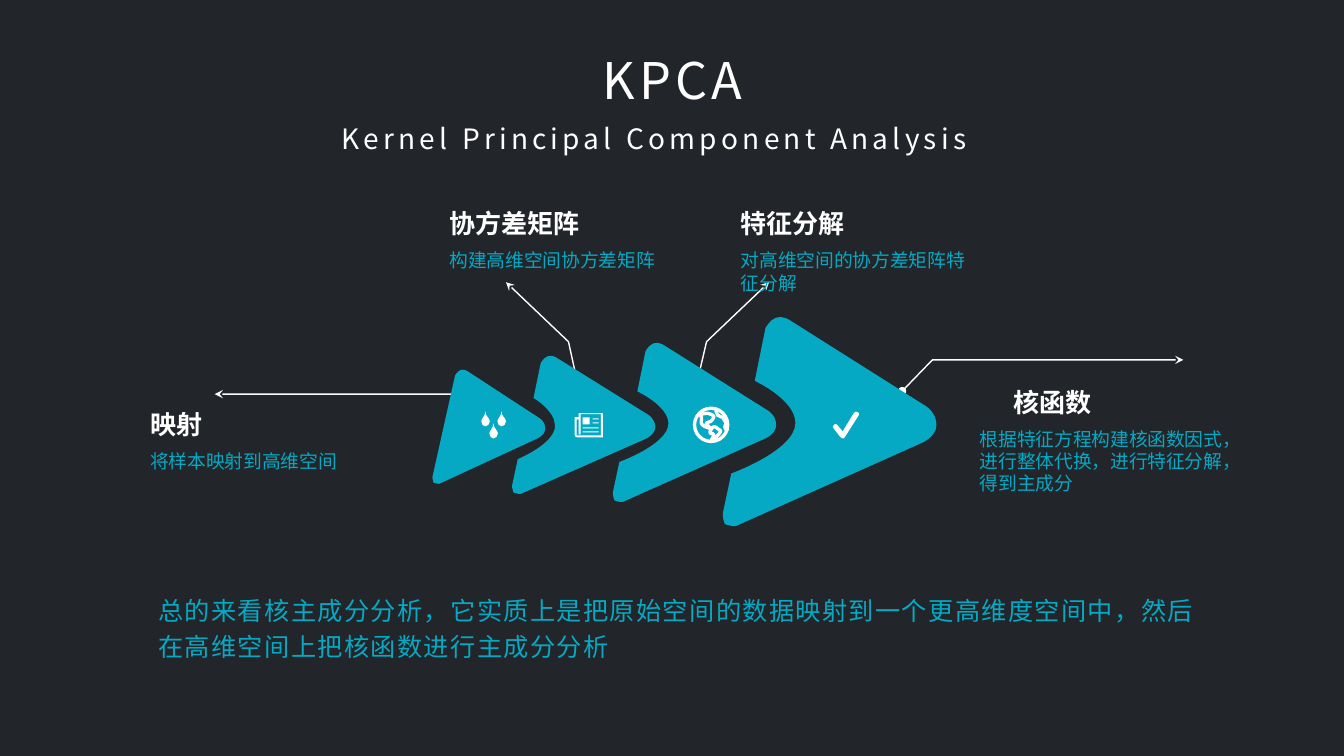
from lxml.etree import SubElement
from pptx import Presentation
from pptx.dml.color import RGBColor
from pptx.enum.shapes import MSO_SHAPE
from pptx.enum.text import MSO_ANCHOR, MSO_AUTO_SIZE, PP_ALIGN
from pptx.oxml.ns import qn
from pptx.util import Inches, Pt

COLUMNS, ROWS = 133.33, 75
CELL = Inches(0.1)
FONT = "Noto Sans CJK SC"
DARK, WHITE, TEAL = "22252A", "FFFFFF", "06A9C3"

# Outlines: a pair is a straight corner, six numbers are a cubic curve.
ARROW_TAIL = [(1, 0.52), (1, 0.58, 0.92, 0.61, 0.92, 0.61), (0.06, 1),
              (0.06, 1, 0.03, 1, 0.01, 0.99), (0, 0.97, 0, 0.94, 0, 0.94)]
ARROW_TIP = [(0.2, 0.06), (0.2, 0.06, 0.22, 0.02, 0.25, 0.01),
             (0.28, 0, 0.31, 0.02, 0.31, 0.02), (0.95, 0.43),
             (0.95, 0.43, 1, 0.46, 1, 0.52)]
ARROWS = [  # left, top, width, height, notch depth
    (42.9, 36.6, 11.2, 11.4, 0), (50.8, 35.2, 14.2, 13.8, 0.3),
    (60.8, 33.9, 16.2, 15.9, 0.34), (71.7, 31.3, 21.2, 20.9, 0.34)]

LEADERS = [
    [(89.5, 38.8), (92.5, 35.7), (117.4, 35.7)],
    [(49.1, 42.2), (46.2, 39.1), (21.3, 39.1)],
    [(68.9, 39), (70.1, 33.9), (76.3, 28)],
    [(57.5, 38.9), (56.4, 33.9), (50.2, 28)]]

CALLOUTS = [  # heading, heading left, top, body, body left, body width, body lines
    ("协方差矩阵", 44.6, 20.6, "构建高维空间协方差矩阵", 44.6, 22.6, 1),
    ("特征分解", 73.45, 20.6, "对高维空间的协方差矩阵特征分解", 73.5, 22.6, 2),
    ("核函数", 100.55, 38.3,
     "根据特征方程构建核函数因式，进行整体代换，进行特征分解，得到主成分", 97.2, 26.1, 3),
    ("映射", 14.9, 40.5, "将样本映射到高维空间", 14.9, 22.6, 1)]

DROP = [(0, 0), (0, 0.5, -0.4, 0.7, -0.4, 1), (-0.4, 1.3, -0.2, 1.5, 0, 1.5),
        (0.2, 1.5, 0.45, 1.3, 0.45, 1), (0.45, 0.7, 0, 0.5, 0, 0)]
DROP_TOPS = [(48.15, 40.8), (49.75, 40.8), (48.95, 42)]
NEWSPAPER = [
    [(57.4, 41), (59.8, 41), (59.8, 43.4), (57.3, 43.4),
     (57.1, 43.4, 57, 43.3, 57, 43.1), (57, 41.4), (57.4, 41.4)],
    [(59.6, 43.2), (57.2, 43.2), (57.2, 41.6), (57.4, 41.6), (57.4, 43.1),
     (57.6, 43.1), (57.6, 41.1), (59.6, 41.1)]]
NEWSPAPER_BARS = [(57.8, 41.4, 0.7, 0.7), (58.8, 41.5, 0.6, 0.1), (58.8, 41.9, 0.6, 0.1),
                  (57.8, 42.4, 1.6, 0.1), (57.8, 42.8, 1.6, 0.1)]
GLOBE_LANDS = [
    [(69.6, 41.6), (69.5, 41.8, 69.5, 42.1, 69.9, 42.3), (70.3, 42.5, 70.4, 42.4, 70.4, 42.5),
     (70.5, 42.5, 70.4, 42.5, 70.4, 42.4), (70.4, 42.3, 70.3, 42.3, 70.3, 42.3),
     (70.2, 42.3, 70.2, 42.2, 70.2, 42.2), (70.2, 42.1, 70.1, 42.2, 70.1, 42.1),
     (70, 42, 70.1, 41.9, 70.2, 41.9), (70.5, 42, 70.5, 41.7, 70.7, 41.6),
     (71.1, 41.2, 70.5, 41.1, 70.2, 41), (69.9, 41, 69.4, 41.1, 69.5, 41.2),
     (69.6, 41.3, 69.6, 41.5, 69.6, 41.6)],
    [(70.5, 42.7), (70.5, 42.9, 70.3, 42.8, 70.5, 43), (70.7, 43.2, 70.8, 42.8, 70.8, 43.2),
     (70.7, 43.6, 70.4, 43.7, 70.7, 43.6), (71, 43.5, 70.9, 43.6, 71.1, 43.3),
     (71.3, 43.1, 71.4, 43, 71.5, 42.8), (71.6, 42.7, 71.4, 42.7, 71.3, 42.6),
     (71.2, 42.5, 70.9, 42.2, 70.7, 42.4), (70.6, 42.5, 70.5, 42.7, 70.5, 42.7)],
    [(71, 40.6), (71, 40.7, 71.1, 41, 71.2, 41.2), (71.4, 41.3, 71.8, 41.4, 71.8, 41.6),
     (71.9, 41.8, 72.1, 41.9, 72, 42.1), (71.9, 42.2, 71.8, 42.5, 72, 42.6),
     (72.1, 42.7, 72.2, 42.6, 72.2, 42.6)]]
CHECK = [(83.6, 43.5), (83.5, 43.5, 83.5, 43.5, 83.4, 43.4), (82.7, 42.5),
         (82.6, 42.4, 82.6, 42.2, 82.8, 42.1), (82.9, 42, 83, 42.1, 83.1, 42.2), (83.6, 42.8),
         (84.7, 41), (84.8, 40.8, 85, 40.8, 85.1, 40.9), (85.2, 40.9, 85.3, 41.1, 85.2, 41.2),
         (83.8, 43.4), (83.8, 43.5, 83.7, 43.5, 83.6, 43.5)]


def color(hex_string):
    return RGBColor.from_string(hex_string)


def cells(*counts):
    return [int(count * CELL) for count in counts]


def place(outline, left, top, width=1, height=1):
    """Move and stretch an outline on the grid."""
    return [tuple(top + value * height if index % 2 else left + value * width
                  for index, value in enumerate(part)) for part in outline]


def arrow_outline(depth):
    notch = [(0.04, 0.75), (0.04, 0.75, depth, 0.64, depth, 0.51),
             (depth, 0.4, 0.15, 0.31, 0.15, 0.31)]
    return ARROW_TAIL + (notch if depth else []) + ARROW_TIP


def paint(shape, fill=None, line=None, width=1):
    shape.shadow.inherit = False
    if fill:
        shape.fill.solid()
        shape.fill.fore_color.rgb = color(fill)
    else:
        shape.fill.background()
    if line:
        shape.line.color.rgb = color(line)
        shape.line.width = Pt(width)
    else:
        shape.line.fill.background()


def bend_curves(shape, outlines):
    """Join each three segments that stand for a curve into a cubic curve."""
    segments = iter(list(shape._element.iter(qn("a:lnTo"))))
    for outline in outlines:
        for part in outline[1:]:
            segment = next(segments)
            if len(part) == 6:
                segment.tag = qn("a:cubicBezTo")
                for extra in (next(segments), next(segments)):
                    segment.append(extra[0])
                    extra.getparent().remove(extra)


def add_outline(slide, *outlines, close=True, **style):
    """Draw outlines as one freeform."""
    builder = None
    for outline in outlines:
        points = [cells(*part[index:index + 2])
                  for part in outline for index in range(0, len(part), 2)]
        if builder is None:
            builder = slide.shapes.build_freeform(*points[0])
        else:
            builder.move_to(*points[0])
        builder.add_line_segments(points[1:], close=close)
    shape = builder.convert_to_shape()
    bend_curves(shape, outlines)
    paint(shape, **style)
    return shape


def add_preset(slide, kind, box, **style):
    paint(slide.shapes.add_shape(kind, *cells(*box)), **style)


def add_leader(slide, points):
    shape = add_outline(slide, points, close=False, line=WHITE)
    line = shape.line._get_or_add_ln()
    for end, kind in (("a:headEnd", "oval"), ("a:tailEnd", "stealth")):
        SubElement(line, qn(end), type=kind)


def write(shape, box, text, size, hex_color, bold=False, spacing=0, align=PP_ALIGN.LEFT,
          line_spacing=1.0, inset=True):
    shape.left, shape.top, shape.width, shape.height = cells(*box)
    frame = shape.text_frame
    frame.word_wrap = True
    frame.auto_size = MSO_AUTO_SIZE.NONE
    frame.vertical_anchor = MSO_ANCHOR.TOP
    if not inset:
        frame.margin_left = frame.margin_right = frame.margin_top = frame.margin_bottom = 0
    paragraph = frame.paragraphs[0]
    paragraph.alignment = align
    paragraph.line_spacing = line_spacing
    paragraph.space_before = Pt(0)
    run = paragraph.add_run()
    run.text = text
    run.font.size = Pt(size)
    run.font.bold = bold
    run.font.color.rgb = color(hex_color)
    run.font.name = FONT
    properties = run._r.get_or_add_rPr()
    properties.set("spc", str(spacing * 100))
    SubElement(properties, qn("a:ea"), typeface=FONT)


def add_text(slide, box, *content, **style):
    write(slide.shapes.add_textbox(0, 0, 0, 0), box, *content, inset=False, **style)


def add_icons(slide):
    add_outline(slide, *[place(DROP, *top) for top in DROP_TOPS], fill=WHITE)
    add_outline(slide, *NEWSPAPER, fill=WHITE)
    for bar in NEWSPAPER_BARS:
        add_preset(slide, MSO_SHAPE.RECTANGLE, bar, fill=WHITE)
    add_preset(slide, MSO_SHAPE.OVAL, (68.9, 40.5, 3.3, 3.3), line=WHITE, width=2.38)
    for land in GLOBE_LANDS:
        add_outline(slide, land, close=land[0] == land[-1][-2:], line=WHITE, width=2.38)
    add_outline(slide, CHECK, fill=WHITE)


def main():
    presentation = Presentation()
    presentation.slide_width, presentation.slide_height = cells(COLUMNS, ROWS)
    slide = presentation.slides.add_slide(presentation.slide_layouts[0])
    slide.background.fill.solid()
    slide.background.fill.fore_color.rgb = color(DARK)

    write(slide.shapes.title, (37.65, 4.35, 58.1, 7.1), "KPCA", 36, WHITE,
          spacing=3, align=PP_ALIGN.CENTER)
    write(slide.placeholders[1], (31.2, 11.55, 67.4, 4.4), "Kernel Principal Component Analysis",
          20, WHITE, spacing=3, align=PP_ALIGN.CENTER)
    for points in LEADERS:
        add_leader(slide, points)
    for *box, depth in ARROWS:
        add_outline(slide, place(arrow_outline(depth), *box), fill=TEAL)
    add_icons(slide)
    for heading, left, top, body, body_left, body_width, lines in CALLOUTS:
        add_text(slide, (left, top, 23.8, 3.1), heading, 18.6, WHITE, bold=True)
        add_text(slide, (body_left, top + 4.1, body_width, 2.26 * lines), body, 13.33, TEAL)
    add_text(slide, (15.7, 58.45, 104.2, 7.3),
             "总的来看核主成分分析，它实质上是把原始空间的数据映射到一个更高维度空间中，"
             "然后在高维空间上把核函数进行主成分分析", 18, TEAL, spacing=1, line_spacing=1.2)
    presentation.save("out.pptx")


if __name__ == "__main__":
    main()
